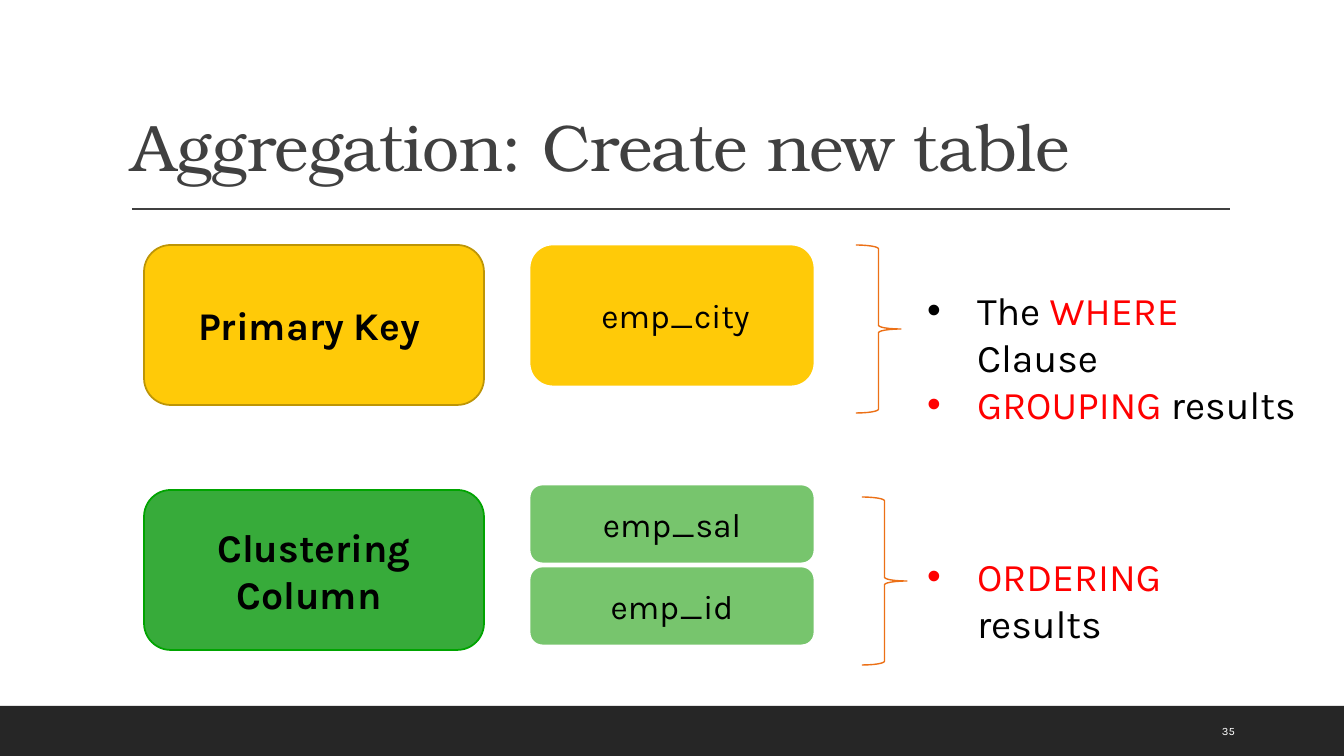
from pptx import Presentation
from pptx.dml.color import RGBColor
from pptx.enum.shapes import MSO_CONNECTOR as Line, MSO_SHAPE as Kind
from pptx.enum.text import MSO_ANCHOR as Anchor, MSO_AUTO_SIZE as Fit, PP_ALIGN as Align
from pptx.util import Emu, Pt
from lxml.etree import SubElement
from pptx.oxml.ns import qn


def px(n):
    return Emu(round(n * 914400 / 100.8))


def color(code):
    return RGBColor.from_string(code)


class Deck:
    sans = "Karla"
    serif = "TeX Gyre Bonum"
    ink = "000000"
    dark = "404040"
    red = "FF0000"

    def __init__(self):
        self.file = Presentation()
        self.file.slide_width, self.file.slide_height = px(1344), px(756)
        self.slide = self.file.slides.add_slide(self.file.slide_layouts[3])
        self.items = self.slide.shapes

    def place(self, item, box):
        item.left, item.top, item.width, item.height = map(px, box)

    def style(self, run, size, code, face=None, bold=False):
        font = run.font
        font.size, font.name, font.bold = Pt(size), face or self.sans, bold
        font.color.rgb = color(code)

    def title(self, box, text):
        item = self.items.title
        self.place(item, box)
        frame = item.text_frame
        frame.text = text
        frame.auto_size, frame.vertical_anchor = Fit.NONE, Anchor.BOTTOM
        para = frame.paragraphs[0]
        para.alignment, para.line_spacing = Align.LEFT, 0.9
        self.style(para.runs[0], 47, self.dark, self.serif)
        para.runs[0].font._element.set("spc", "-50")

    def bullets(self, slot, box, rows):
        item = self.slide.placeholders[slot]
        self.place(item, box)
        frame = item.text_frame
        frame.word_wrap, frame.auto_size = True, Fit.NONE
        for i, row in enumerate(rows):
            para = frame.add_paragraph() if i else frame.paragraphs[0]
            para.space_before = Pt(0)
            props = para._p.get_or_add_pPr()
            props.set("marL", str(px(50)))
            props.set("indent", str(-px(50)))
            SubElement(props, qn("a:buChar")).set("char", "•")
            for text, code in row:
                run = para.add_run()
                run.text = text
                self.style(run, 28, code)

    def shape(self, kind, box, fill=None, edge=None, width=1):
        item = self.items.add_shape(kind, *map(px, box))
        item.shadow.inherit = False
        if fill:
            item.fill.solid()
            item.fill.fore_color.rgb = color(fill)
        else:
            item.fill.background()
        if edge:
            item.line.color.rgb = color(edge)
            item.line.width = Pt(width)
        else:
            item.line.fill.background()
        return item

    def card(self, box, text, fill, edge, width, size, bold=False):
        item = self.shape(Kind.ROUNDED_RECTANGLE, box, fill, edge, width)
        frame = item.text_frame
        frame.text = text
        frame.word_wrap, frame.vertical_anchor = True, Anchor.MIDDLE
        para = frame.paragraphs[0]
        para.alignment = Align.CENTER
        self.style(para.runs[0], size, self.ink, bold=bold)
        return item

    def head(self, top, text, fill, edge):
        self.card((144, top, 340, 160), text, fill, edge, 1.25, 28, True)

    def field(self, top, high, text, fill):
        return self.card((529, top, 286, high), text, fill, "FFFFFF", 2, 24)

    def brace(self, left, top):
        self.shape(Kind.RIGHT_BRACE, (left, top, 45, 168), edge="EC7016")

    def rule(self, left, right, top):
        line = self.items.add_connector(Line.STRAIGHT, px(left), px(top), px(right), px(top))
        line.line.color.rgb = color(self.dark)
        line.line.width = Pt(1)
        SubElement(line._element.spPr, qn("a:effectLst"))

    def number(self, box, text):
        frame = self.items.add_textbox(*map(px, box)).text_frame
        frame.text = text
        frame.word_wrap, frame.vertical_anchor = True, Anchor.MIDDLE
        self.style(frame.paragraphs[0].runs[0], 8, "FFFFFF")


def main():
    deck = Deck()
    deck.shape(Kind.RECTANGLE, (0, 706, 1344, 50), "262626")
    deck.rule(132, 1230, 209)
    deck.title((121, 31, 1109, 160), "Aggregation: Create new table")
    deck.number((1212, 711, 86, 40), "35")

    deck.head(245, "Primary Key ", "FFCA08", "BD9506")
    city = deck.field(244, 143, "emp_city", "FFCA08")
    city.text_frame.margin_left = px(17)
    deck.brace(856, 245)
    deck.bullets(1, (917, 281, 391, 105), [
        [("The ", deck.ink), ("WHERE", deck.red), (" Clause", deck.ink)],
        [("GROUPING", deck.red), (" results", deck.ink)],
    ])

    deck.head(490, "Clustering Column ", "37AB3A", "00A400")
    for i, name in enumerate(("emp_sal", "emp_id")):
        deck.field(484 + 82 * i, 80, name, "77C56D")
    deck.brace(862, 497)
    deck.bullets(2, (917, 547, 377, 57), [
        [("ORDERING", deck.red), (" results", deck.ink)],
    ])
    deck.file.save("out.pptx")


if __name__ == "__main__":
    main()
